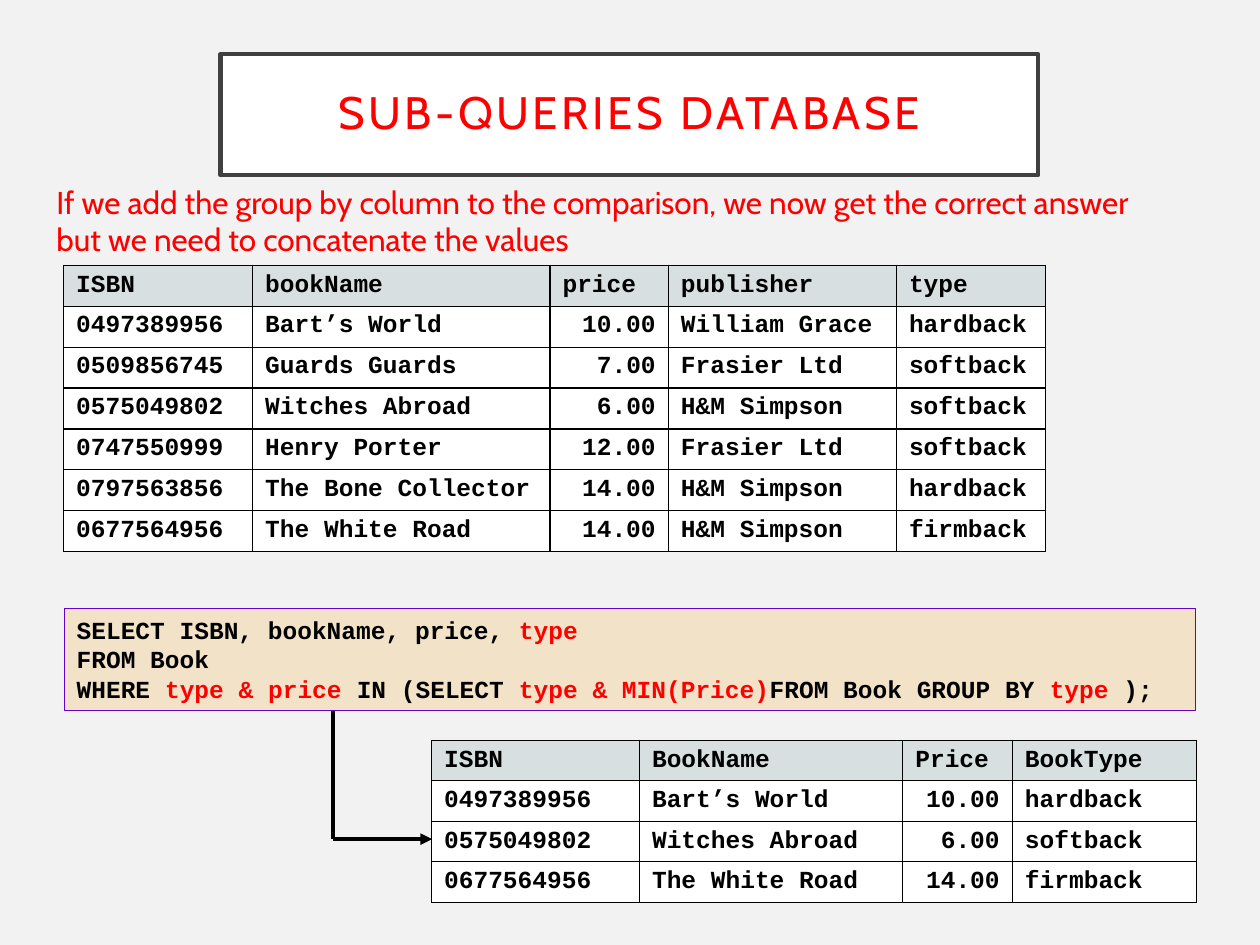
from dataclasses import dataclass

from lxml.etree import SubElement
from pptx import Presentation
from pptx.dml.color import RGBColor
from pptx.enum.shapes import MSO_CONNECTOR as Connector, MSO_SHAPE as Shape
from pptx.enum.text import MSO_ANCHOR as Anchor, PP_ALIGN as Align
from pptx.oxml import parse_xml
from pptx.oxml.ns import nsdecls, qn
from pptx.util import Inches, Pt


@dataclass(frozen=True)
class Theme:
    back: str = "F2F2F2"
    white: str = "FFFFFF"
    ink: str = "000000"
    accent: str = "FF0000"
    frame: str = "404040"
    header: str = "D7DFE1"
    code_fill: str = "F6A21D"
    code_line: str = "6600CC"
    sans: str = "Cabin"
    mono: str = "Courier New"
    title: int = 26
    body: int = 18
    code: int = 14


THEME = Theme()
WIDTH, HEIGHT = Inches(10), Inches(7.5)
COLUMNS, ROWS = 100, 75

BOOKS = [
    ("ISBN", "bookName", "price", "publisher", "type"),
    ("0497389956", "Bart’s World", "10.00", "William Grace", "hardback"),
    ("0509856745", "Guards Guards", "7.00", "Frasier Ltd", "softback"),
    ("0575049802", "Witches Abroad", "6.00", "H&M Simpson", "softback"),
    ("0747550999", "Henry Porter", "12.00", "Frasier Ltd", "softback"),
    ("0797563856", "The Bone Collector", "14.00", "H&M Simpson", "hardback"),
    ("0677564956", "The White Road", "14.00", "H&M Simpson", "firmback"),
]
CHEAPEST = [
    ("ISBN", "BookName", "Price", "BookType"),
    ("0497389956", "Bart’s World", "10.00", "hardback"),
    ("0575049802", "Witches Abroad", "6.00", "softback"),
    ("0677564956", "The White Road", "14.00", "firmback"),
]
PRICE_COLUMN = 2
# Every second span of a query line is highlighted.
QUERY = [
    ("SELECT ISBN, bookName, price, ", "type"),
    ("FROM Book",),
    ("WHERE ", "type & price ", "IN (SELECT ", "type & MIN(Price)",
     "FROM Book GROUP BY ", "type", " );"),
]


def across(columns):
    return round(WIDTH * columns / COLUMNS)


def down(rows):
    return round(HEIGHT * rows / ROWS)


def area(left, top, width, height):
    return across(left), down(top), across(width), down(height)


def rgb(color):
    return RGBColor.from_string(color)


def add_text(para, text, *, size, font, color, bold=False, align=Align.LEFT, spacing=None):
    para.alignment = align
    span = para.add_run()
    span.text = text
    span.font.size = Pt(size)
    span.font.name = font
    span.font.bold = bold
    span.font.color.rgb = rgb(color)
    if spacing:
        span.font._element.set("spc", str(spacing * 100))


def add_code(para, text, *, color=THEME.ink, align=Align.LEFT):
    add_text(para, text, size=THEME.code, font=THEME.mono, color=color, bold=True, align=align)


def paint(shape, *, fill, line, width):
    shape.fill.solid()
    shape.fill.fore_color.rgb = rgb(fill)
    shape.line.color.rgb = rgb(line)
    shape.line.width = Pt(width)
    shape.shadow.inherit = False


def format_title(title, text):
    title.left, title.top, title.width, title.height = area(17.5, 4.3, 64.9, 9.6)
    paint(title, fill=THEME.white, line=THEME.frame, width=2.5)
    frame = title.text_frame
    frame.word_wrap = True
    frame.vertical_anchor = Anchor.MIDDLE
    frame.margin_left = frame.margin_right = across(2)
    frame.margin_top = frame.margin_bottom = down(2)
    para = frame.paragraphs[0]
    para.line_spacing = 0.9
    add_text(para, text, size=THEME.title, font=THEME.sans, color=THEME.accent,
             align=Align.CENTER, spacing=2)


def add_note(page, text):
    box = page.shapes.add_textbox(*area(3.5, 14, 87.3, 7.1))
    box.text_frame.word_wrap = True
    add_text(box.text_frame.paragraphs[0], text, size=THEME.body, font=THEME.sans,
             color=THEME.accent)


def add_query(page, lines):
    box = page.shapes.add_shape(Shape.RECTANGLE, *area(5.1, 48.3, 89.8, 8.1))
    paint(box, fill=THEME.code_fill, line=THEME.code_line, width=0.75)
    fill_color = box.fill._xPr.find(qn("a:solidFill"))[0]
    SubElement(fill_color, qn("a:alpha"), val="20000")
    frame = box.text_frame
    frame.word_wrap = True
    frame.vertical_anchor = Anchor.TOP
    for number, spans in enumerate(lines):
        para = frame.add_paragraph() if number else frame.paragraphs[0]
        for index, text in enumerate(spans):
            add_code(para, text, color=THEME.accent if index % 2 else THEME.ink)


def add_borders(cell):
    properties = cell._tc.get_or_add_tcPr()
    for side in ("lnL", "lnR", "lnT", "lnB"):
        properties.append(parse_xml(
            f'<a:{side} {nsdecls("a")} w="{Pt(0.75)}"><a:solidFill>'
            f'<a:srgbClr val="{THEME.ink}"/></a:solidFill></a:{side}>'))


def add_grid(page, records, *, left, top, widths, row_height, body_anchor):
    bounds = area(left, top, sum(widths), row_height * len(records))
    table = page.shapes.add_table(len(records), len(widths), *bounds).table
    for column, width in zip(table.columns, widths):
        column.width = across(width)
    for row, record in enumerate(records):
        table.rows[row].height = down(row_height)
        for column, text in enumerate(record):
            cell = table.cell(row, column)
            add_borders(cell)
            cell.fill.solid()
            cell.fill.fore_color.rgb = rgb(THEME.white if row else THEME.header)
            cell.vertical_anchor = body_anchor if row else Anchor.MIDDLE
            is_price = row and column == PRICE_COLUMN
            add_code(cell.text_frame.paragraphs[0], text,
                     align=Align.RIGHT if is_price else Align.LEFT)


def add_line(page, start, end, *, arrow=False):
    line = page.shapes.add_connector(Connector.STRAIGHT, across(start[0]), down(start[1]),
                                     across(end[0]), down(end[1]))
    line.line.color.rgb = rgb(THEME.ink)
    line.line.width = Pt(2.25)
    if arrow:
        SubElement(line.line._get_or_add_ln(), qn("a:tailEnd"), type="triangle")
    SubElement(line._element.spPr, qn("a:effectLst"))


def main():
    deck = Presentation()
    deck.slide_width, deck.slide_height = WIDTH, HEIGHT
    page = deck.slides.add_slide(deck.slide_layouts.get_by_name("Title Only"))
    page.background.fill.solid()
    page.background.fill.fore_color.rgb = rgb(THEME.back)

    format_title(page.shapes.title, "SUB-QUERIES DATABASE")
    add_grid(page, CHEAPEST, left=34.25, top=58.75, widths=(16.5, 20.9, 8.7, 14.6),
             row_height=3.22, body_anchor=Anchor.MIDDLE)
    add_grid(page, BOOKS, left=5.05, top=21.05, widths=(15, 23.6, 9.4, 18.1, 11.8),
             row_height=3.25, body_anchor=Anchor.TOP)
    add_note(page, "If we add the group by column to the comparison, we now get the "
                   "correct answer but we need to concatenate the values")
    add_query(page, QUERY)
    corner = (26.4, 66.6)
    add_line(page, corner, (34.3, 66.6), arrow=True)
    add_line(page, corner, (26.4, 56.4))
    deck.save("out.pptx")


if __name__ == "__main__":
    main()
